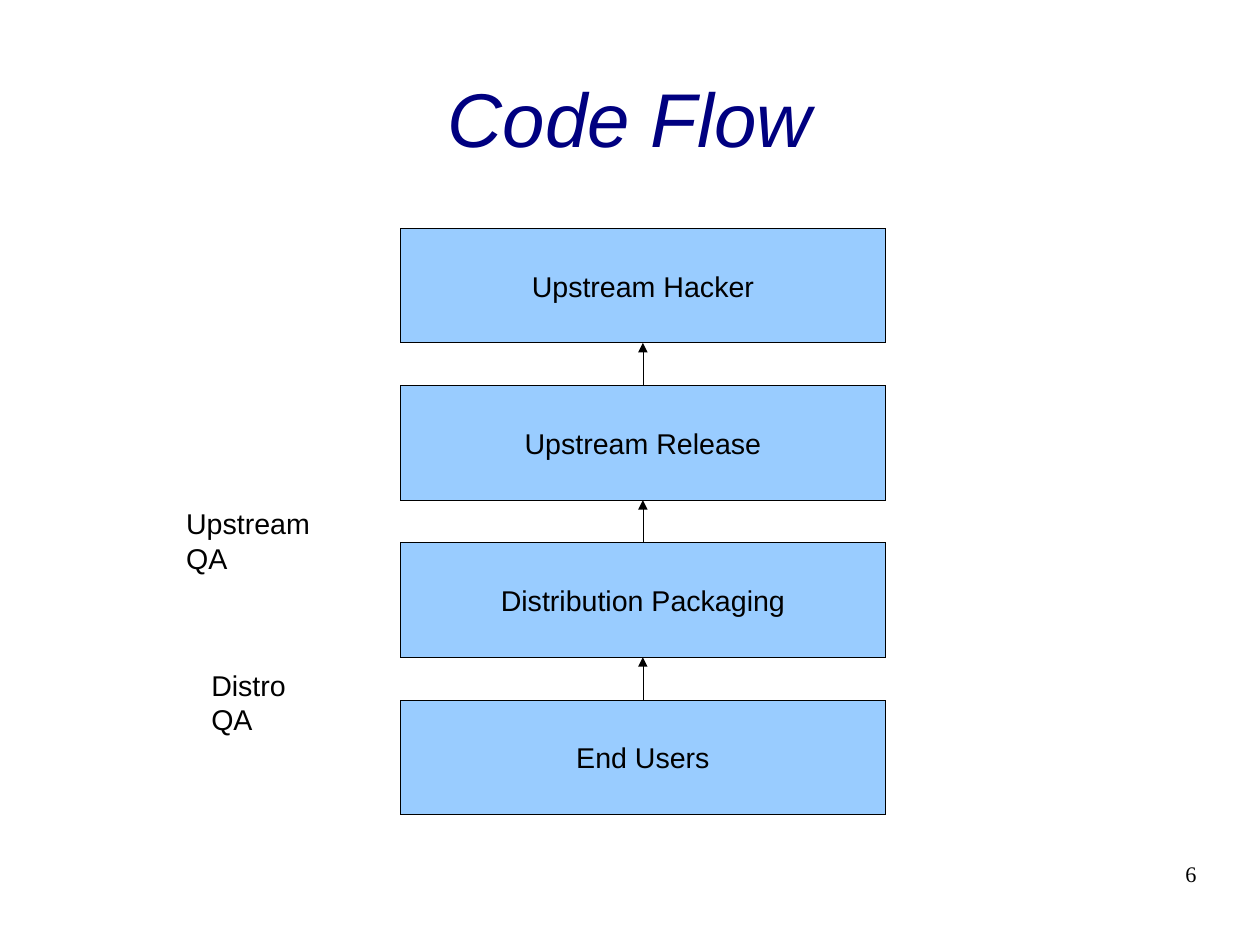
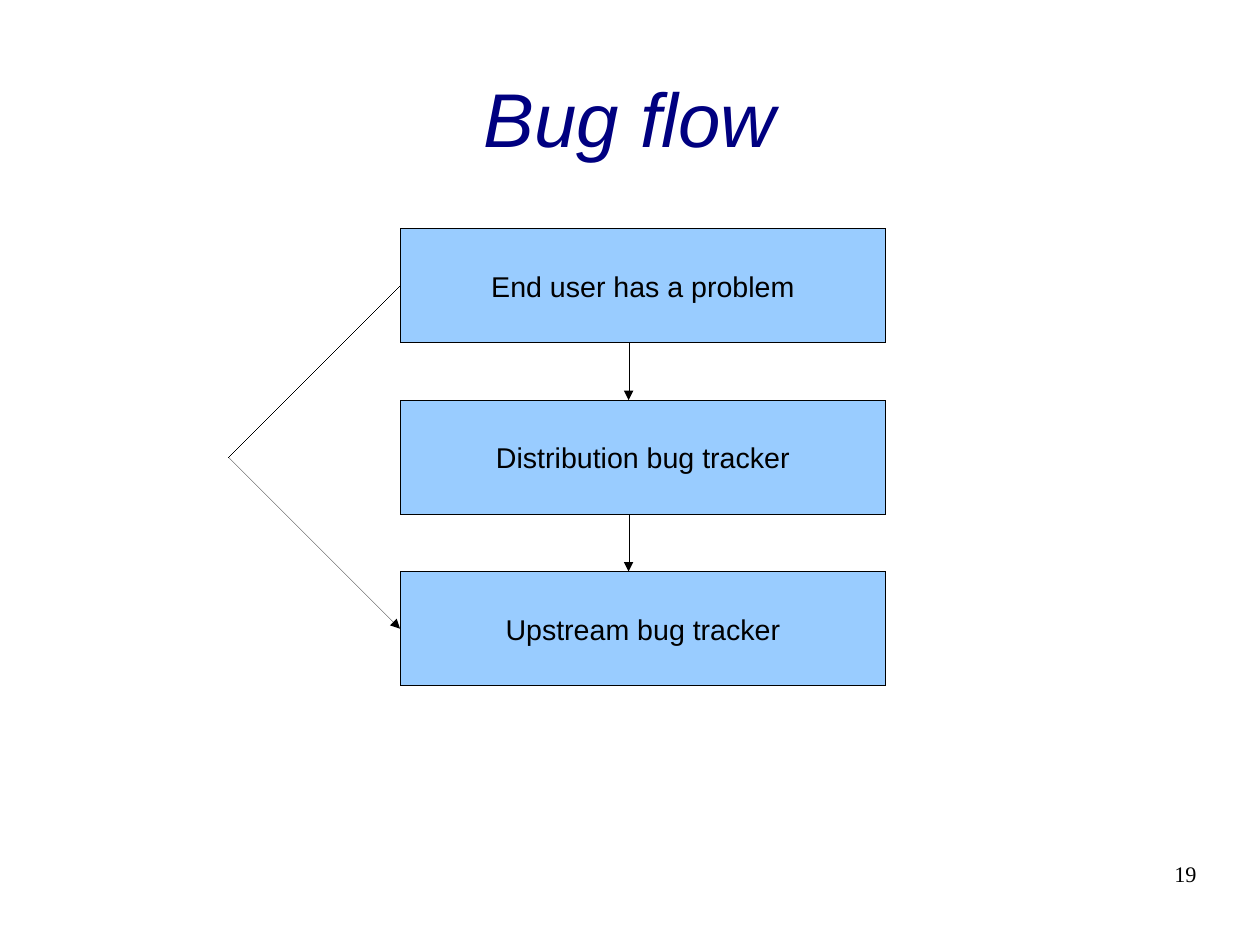
"""Build two flow-chart slides: how code flows and how bugs flow."""
from pptx import Presentation
from pptx.dml.color import RGBColor
from pptx.enum.shapes import MSO_CONNECTOR as Connector, MSO_SHAPE as Shape
from pptx.enum.text import MSO_ANCHOR as Anchor, MSO_AUTO_SIZE as AutoSize, PP_ALIGN as Align
from pptx.oxml.ns import qn
from pptx.util import Emu, Pt
from lxml.etree import SubElement

PX = 9144
COLORS = {"title": "000080", "fill": "99CCFF", "ink": "000000"}
SANS, SERIF = "Arial", "Times New Roman"
PAGE_WIDTH, PAGE_HEIGHT = Emu(10080625), Emu(7559675)
TITLE_AREA = (55, 33, 992, 138)
NUMBER_AREA = (790, 753, 257, 57)
BOX_LEFT, BOX_TOP, BOX_WIDTH, BOX_HEIGHT = 350, 200, 425, 100
TOP, LEFT, BOTTOM = 0, 1, 2

CODE_FLOW = {
    "title": "Code Flow",
    "number": "6",
    "pitch": 137.5,
    "steps": ["Upstream Hacker", "Upstream Release", "Distribution Packaging", "End Users"],
    "labels": [("Upstream QA", (153, 438, 171, 38)), ("Distro QA", (175, 579, 128, 38))],
}
BUG_FLOW = {
    "title": "Bug flow",
    "number": "19",
    "pitch": 150,
    "steps": ["End user has a problem", "Distribution bug tracker", "Upstream bug tracker"],
    "labels": [],
}
DOWN_X = 550
DETOUR = (200, 400)


def emu(*lengths):
    return [round(length * PX) for length in lengths]


def write(shape, text, size, align, font=SANS, color="ink", italic=False):
    shape.text_frame.text = text
    para = shape.text_frame.paragraphs[0]
    para.alignment = align
    span = para.runs[0].font
    span.name, span.size, span.italic = font, Pt(size), italic
    span.color.rgb = RGBColor.from_string(COLORS[color])


def add_text(page, area, text, size, align, inset=0, wrap=True, anchor=Anchor.TOP, **style):
    box = page.shapes.add_textbox(*emu(*area))
    frame = box.text_frame
    frame.word_wrap, frame.vertical_anchor = wrap, anchor
    frame.auto_size = AutoSize.NONE if wrap else AutoSize.SHAPE_TO_FIT_TEXT
    frame.margin_left = frame.margin_right = inset * PX
    frame.margin_top = frame.margin_bottom = inset * PX // 2
    write(box, text, size, align, **style)


def set_hairline(line):
    line.color.rgb = RGBColor.from_string(COLORS["ink"])
    outline = line._get_or_add_ln()
    outline.set("w", "0")
    return outline


def add_step(page, text, top):
    box = page.shapes.add_shape(Shape.RECTANGLE, *emu(BOX_LEFT, top, BOX_WIDTH, BOX_HEIGHT))
    box.shadow.inherit = False
    box.fill.solid()
    box.fill.fore_color.rgb = RGBColor.from_string(COLORS["fill"])
    set_hairline(box.line)
    box.text_frame.vertical_anchor = Anchor.MIDDLE
    write(box, text, 18, Align.CENTER)
    return box


def add_link(page, start=(0, 0), end=(0, 0), begin_at=None, end_at=None, arrow=True):
    link = page.shapes.add_connector(Connector.STRAIGHT, *emu(*start, *end))
    if begin_at:
        link.begin_connect(*begin_at)
    if end_at:
        link.end_connect(*end_at)
    outline = set_hairline(link.line)
    if arrow:
        SubElement(outline, qn("a:tailEnd"), type="triangle")
    SubElement(link._element.spPr, qn("a:effectLst"))


def add_flow(deck, flow):
    page = deck.slides.add_slide(deck.slide_layouts[6])
    add_text(page, TITLE_AREA, flow["title"], 48, Align.CENTER,
             anchor=Anchor.MIDDLE, color="title", italic=True)
    boxes = [add_step(page, text, BOX_TOP + row * flow["pitch"])
             for row, text in enumerate(flow["steps"])]
    for text, area in flow["labels"]:
        add_text(page, area, text, 18, Align.LEFT, inset=10, wrap=False)
    add_text(page, NUMBER_AREA, flow["number"], 14, Align.RIGHT, font=SERIF)
    return page, boxes


def main():
    deck = Presentation()
    deck.slide_width, deck.slide_height = PAGE_WIDTH, PAGE_HEIGHT

    page, boxes = add_flow(deck, CODE_FLOW)
    for upper, lower in zip(boxes, boxes[1:]):
        add_link(page, begin_at=(lower, TOP), end_at=(upper, BOTTOM))

    page, boxes = add_flow(deck, BUG_FLOW)
    for row in range(len(boxes) - 1):
        top = BOX_TOP + row * BUG_FLOW["pitch"]
        add_link(page, (DOWN_X, top + BOX_HEIGHT), (DOWN_X, top + BUG_FLOW["pitch"]))
    add_link(page, end=DETOUR, begin_at=(boxes[0], LEFT), arrow=False)
    add_link(page, start=DETOUR, end_at=(boxes[-1], LEFT))

    deck.save("out.pptx")


if __name__ == "__main__":
    main()
